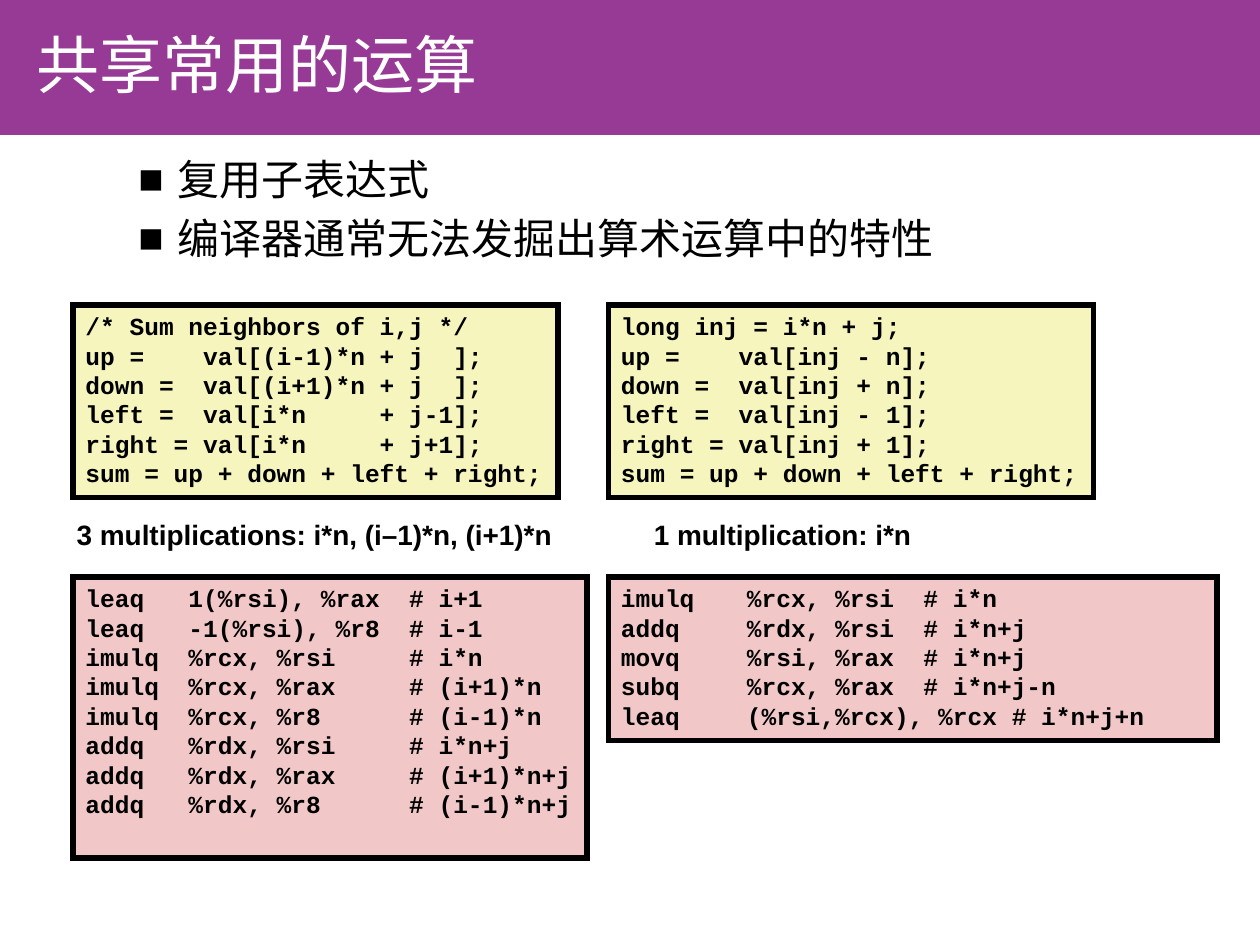
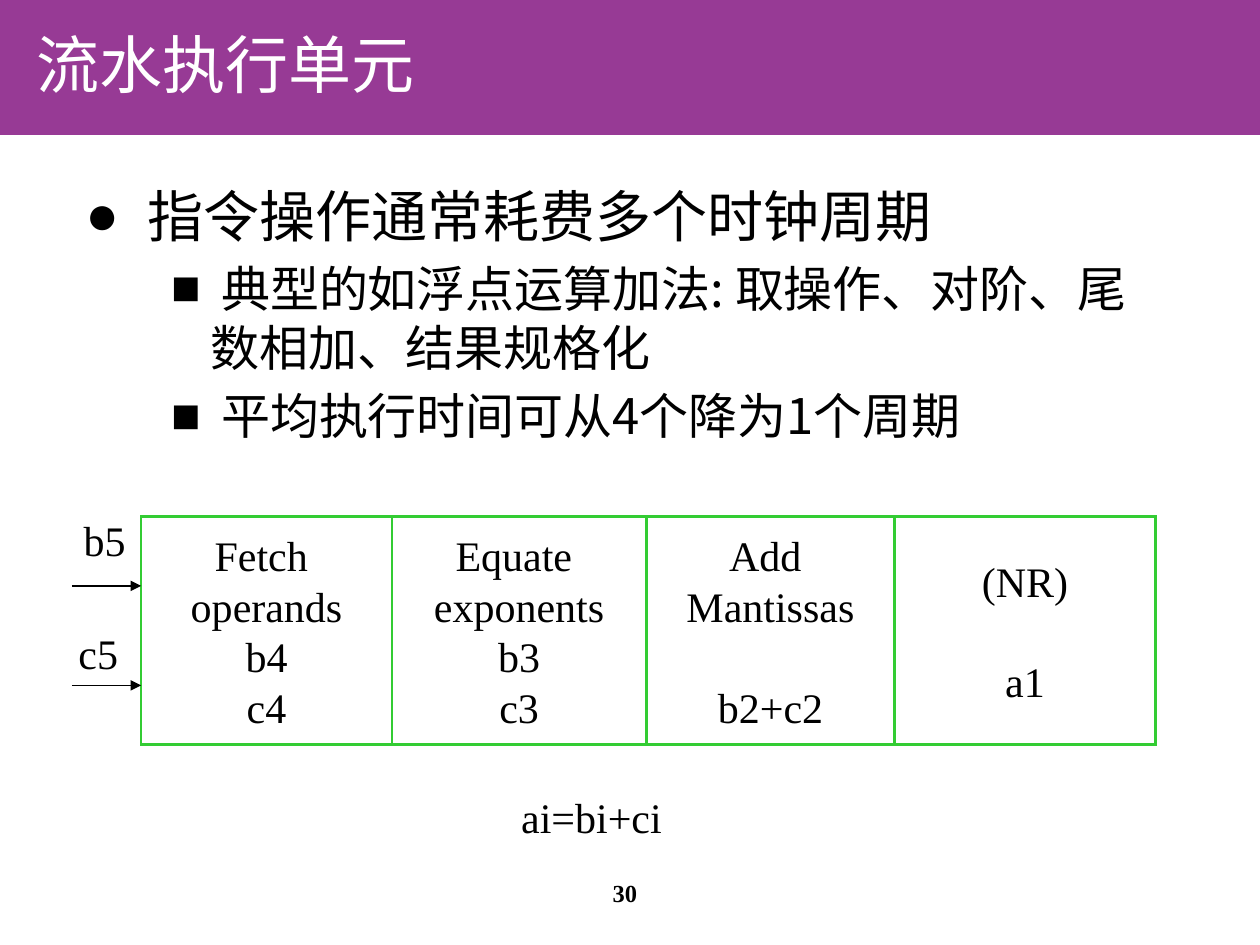
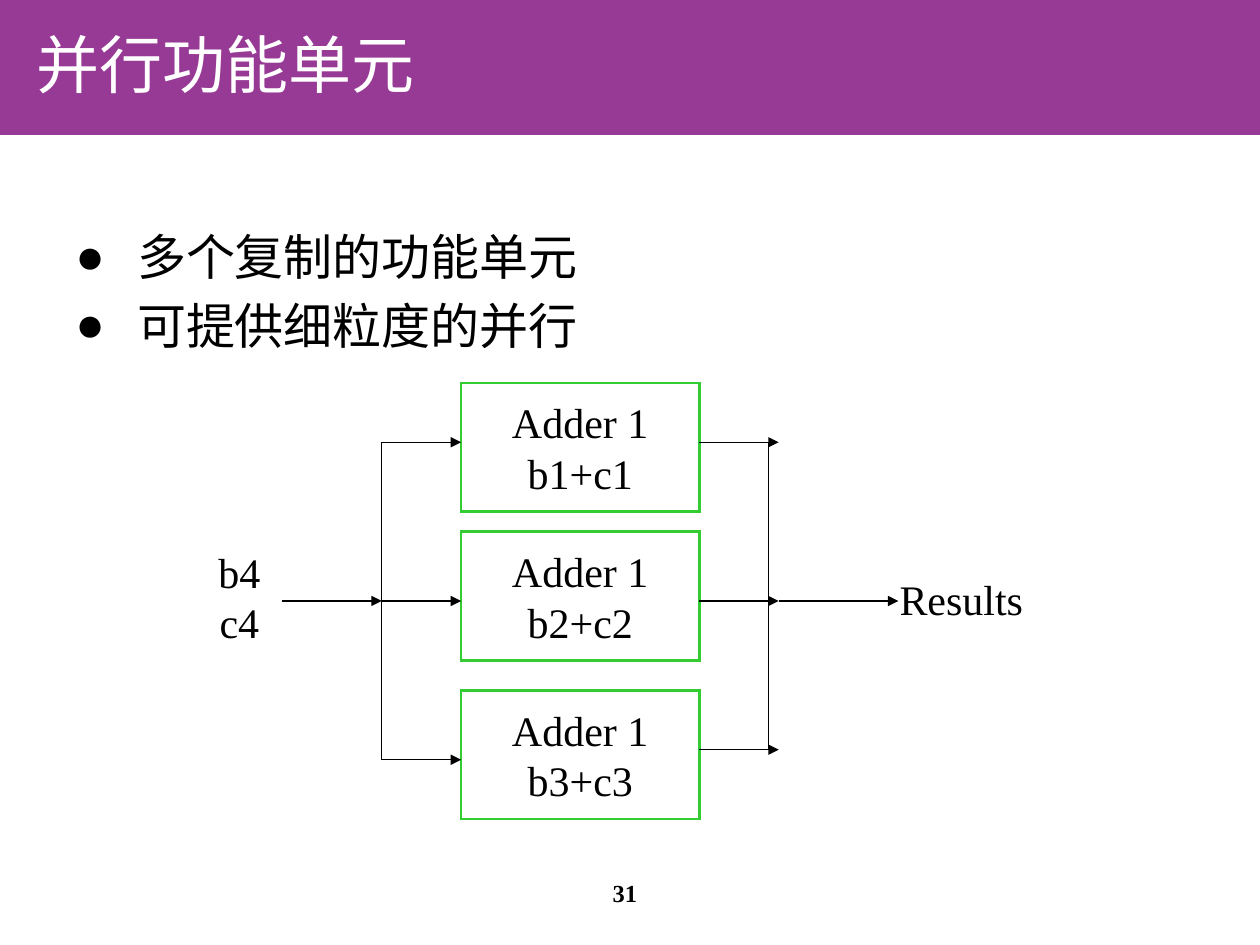
from dataclasses import dataclass
from itertools import accumulate
from typing import NamedTuple, Optional, Sequence

from lxml import etree
from pptx import Presentation
from pptx import util as u
from pptx.dml.color import RGBColor
from pptx.enum import shapes, text
from pptx.oxml import ns


# Theme: colours, faces and type sizes
@dataclass(frozen=True)
class Theme:
    band: str = "973A95"
    white: str = "FFFFFF"
    ink: str = "000000"
    source: str = "F6F5BD"
    assembly: str = "F1C7C7"
    frame: str = "33CC33"
    cjk: str = "Noto Sans CJK SC"
    code: str = "Courier New"
    sans: str = "Arial"
    serif: str = "Times New Roman"
    title_size: int = 36
    label_size: int = 24
    caption_size: int = 16
    small_size: int = 14
    blank_line: float = 28.8
    thin: float = 0.75
    medium: float = 1.5
    thick: float = 3


THEME = Theme()

# Grid: 100 columns by 75 rows of square cells
COLUMNS, ROWS = 100, 75
deck = Presentation()
deck.slide_width, deck.slide_height = u.Inches(10), u.Inches(7.5)


def across(columns: float) -> int:
    return round(deck.slide_width * columns / COLUMNS)


def down(rows: float) -> int:
    return round(deck.slide_height * rows / ROWS)


class Area(NamedTuple):
    column: float
    row: float
    columns: float
    rows: float

    def lengths(self) -> tuple:
        return across(self.column), down(self.row), across(self.columns), down(self.rows)


class Style(NamedTuple):
    face: str
    size: float
    color: str = THEME.ink
    bold: bool = False
    align: text.PP_ALIGN = text.PP_ALIGN.LEFT
    anchor: text.MSO_ANCHOR = text.MSO_ANCHOR.TOP
    wrap: bool = False


class Bullet(NamedTuple):
    words: str
    size: float
    level: int = 0


class Panel(NamedTuple):
    area: Area
    fill: str
    lines: Sequence[str]
    wrap: bool = False
    tab_stop: Optional[float] = None


class Stage(NamedTuple):
    columns: float
    lines: Sequence[str]
    gap_before_last: bool = False


class Link(NamedTuple):
    start: tuple
    end: tuple
    arrow: bool = True


TITLE = Style(THEME.cjk, THEME.title_size, THEME.white,
              anchor=text.MSO_ANCHOR.MIDDLE, wrap=True)
LABEL = Style(THEME.serif, THEME.label_size, align=text.PP_ALIGN.CENTER,
              anchor=text.MSO_ANCHOR.MIDDLE)
CODE = Style(THEME.code, THEME.small_size, bold=True)
CAPTION = Style(THEME.sans, THEME.caption_size, bold=True)
NUMBER = Style(THEME.serif, THEME.small_size, bold=True,
               align=text.PP_ALIGN.CENTER, wrap=True)

# Bullet sign, left margin and hanging indent in columns, by level
LEVELS = (("●", 4.9, -4.9), ("■", 9.9, -3.1))


# Text
def format_para(para, style: Style) -> None:
    para.alignment = style.align
    for span in para.runs:
        font = span.font
        font.size, font.bold = u.Pt(style.size), style.bold
        font.color.rgb = RGBColor.from_string(style.color)
        font.name = style.face
        etree.SubElement(font._element, ns.qn("a:ea"), typeface=style.face)


def write(box, lines: Sequence[str], style: Style) -> None:
    frame = box.text_frame
    frame.text = "\n".join(lines)
    frame.word_wrap = style.wrap
    frame.vertical_anchor = style.anchor
    for para in frame.paragraphs:
        format_para(para, style)


def add_text(page, area: Area, lines: Sequence[str], style: Style):
    box = page.shapes.add_textbox(*area.lengths())
    write(box, lines, style)
    return box


def add_bullets(page, area: Area, bullets: Sequence[Bullet]) -> None:
    style = Style(THEME.cjk, THEME.label_size, wrap=True)
    box = add_text(page, area, [bullet.words for bullet in bullets], style)
    for para, bullet in zip(box.text_frame.paragraphs, bullets):
        sign, margin, indent = LEVELS[bullet.level]
        para.level = bullet.level
        para.space_before = u.Pt(0.2 * bullet.size)
        for span in para.runs:
            span.font.size = u.Pt(bullet.size)
        properties = para._p.get_or_add_pPr()
        properties.set("marL", str(across(margin)))
        properties.set("indent", str(across(indent)))
        etree.SubElement(properties, ns.qn("a:buFont"), typeface=THEME.sans)
        etree.SubElement(properties, ns.qn("a:buChar"), char=sign)


def set_tab_stop(box, columns: float) -> None:
    for para in box.text_frame.paragraphs:
        stops = etree.SubElement(para._p.get_or_add_pPr(), ns.qn("a:tabLst"))
        etree.SubElement(stops, ns.qn("a:tab"), pos=str(across(columns)), algn="l")


# Shapes and lines
def add_box(page, area: Area, fill: Optional[str] = None,
            line: Optional[str] = None, weight: float = 0):
    box = page.shapes.add_shape(shapes.MSO_SHAPE.RECTANGLE, *area.lengths())
    box.shadow.inherit = False
    if fill:
        box.fill.solid()
        box.fill.fore_color.rgb = RGBColor.from_string(fill)
    else:
        box.fill.background()
    if line:
        box.line.color.rgb = RGBColor.from_string(line)
        box.line.width = u.Pt(weight)
        etree.SubElement(box.line._get_or_add_ln(), ns.qn("a:miter"), lim="800000")
    else:
        box.line.fill.background()
    return box


def add_panel(page, panel: Panel) -> None:
    box = add_box(page, panel.area, panel.fill, THEME.ink, THEME.thick)
    write(box, panel.lines, CODE._replace(wrap=panel.wrap))
    if panel.tab_stop is not None:
        set_tab_stop(box, panel.tab_stop)


def add_unit(page, area: Area, lines: Sequence[str]):
    box = add_box(page, area, line=THEME.frame, weight=THEME.medium)
    write(box, lines, LABEL)
    return box


def add_link(page, link: Link) -> None:
    line = page.shapes.add_connector(
        shapes.MSO_CONNECTOR.STRAIGHT,
        across(link.start[0]), down(link.start[1]),
        across(link.end[0]), down(link.end[1]))
    line.line.color.rgb = RGBColor.from_string(THEME.ink)
    line.line.width = u.Pt(THEME.thin)
    if link.arrow:
        etree.SubElement(line.line._get_or_add_ln(), ns.qn("a:tailEnd"), type="triangle")
    etree.SubElement(line._element.spPr, ns.qn("a:effectLst"))


# Shared page frame: band, title and optional page number
def add_page(title: str, number: Optional[int] = None):
    page = deck.slides.add_slide(deck.slide_layouts[6])
    add_box(page, Area(0, -0.1, COLUMNS, 10.8), THEME.band)
    add_text(page, Area(1.9, 1.3, 65.6, 7.5), [title], TITLE)
    if number is not None:
        add_text(page, Area(39.2, 69.2, 20.8, 5), [str(number)], NUMBER)
    return page


def build_sharing() -> None:
    page = add_page("共享常用的运算")
    add_bullets(page, Area(3.2, 11.7, 90.9, 58.8), [
        Bullet("复用子表达式", 24, 1),
        Bullet("编译器通常无法发掘出算术运算中的特性", 24, 1),
    ])
    left, right, source_row, assembly_row = 5.8, 48.3, 24.2, 45.8
    panels = [
        Panel(Area(left, source_row, 38.5, 15.3), THEME.source, [
            "/* Sum neighbors of i,j */",
            "up =    val[(i-1)*n + j  ];",
            "down =  val[(i+1)*n + j  ];",
            "left =  val[i*n     + j-1];",
            "right = val[i*n     + j+1];",
            "sum = up + down + left + right;",
        ]),
        Panel(Area(right, source_row, 38.5, 15.3), THEME.source, [
            "long inj = i*n + j;",
            "up =    val[inj - n];",
            "down =  val[inj + n];",
            "left =  val[inj - 1];",
            "right = val[inj + 1];",
            "sum = up + down + left + right;",
        ]),
        Panel(Area(left, assembly_row, 40.8, 22.3), THEME.assembly, [
            "leaq   1(%rsi), %rax  # i+1",
            "leaq   -1(%rsi), %r8  # i-1",
            "imulq  %rcx, %rsi     # i*n",
            "imulq  %rcx, %rax     # (i+1)*n",
            "imulq  %rcx, %r8      # (i-1)*n",
            "addq   %rdx, %rsi     # i*n+j",
            "addq   %rdx, %rax     # (i+1)*n+j",
            "addq   %rdx, %r8      # (i-1)*n+j",
        ], wrap=True),
        Panel(Area(right, assembly_row, 48.3, 13), THEME.assembly, [
            "imulq\t%rcx, %rsi  # i*n",
            "addq\t%rdx, %rsi  # i*n+j",
            "movq\t%rsi, %rax  # i*n+j",
            "subq\t%rcx, %rax  # i*n+j-n",
            "leaq\t(%rsi,%rcx), %rcx # i*n+j+n",
        ], wrap=True, tab_stop=10),
    ]
    for panel in panels:
        add_panel(page, panel)
    add_text(page, Area(5.1, 40.6, 39.9, 3.6),
             ["3 multiplications: i*n, (i–1)*n, (i+1)*n"], CAPTION)
    add_text(page, Area(50.9, 40.6, 22.5, 3.6), ["1 multiplication: i*n"], CAPTION)


def build_pipeline() -> None:
    page = add_page("流水执行单元", 30)
    add_bullets(page, Area(5.8, 13.9, 85.1, 24.3), [
        Bullet("指令操作通常耗费多个时钟周期", 32),
        Bullet(" 典型的如浮点运算加法: 取操作、对阶、尾数相加、结果规格化", 28, 1),
        Bullet(" 平均执行时间可从4个降为1个周期", 28, 1),
    ])

    # Stages stand side by side
    first = 11.2
    stages = [
        Stage(19.9, ["Fetch ", "operands", "b4", "c4"]),
        Stage(20.2, ["Equate ", "exponents", "b3", "c3"]),
        Stage(19.7, ["Add ", "Mantissas", "b2+c2"], True),
        Stage(20.7, ["(NR)", "a1"], True),
    ]
    lefts = accumulate((stage.columns for stage in stages), initial=first)
    for left, stage in zip(lefts, stages):
        box = add_unit(page, Area(left, 41, stage.columns, 18.1), stage.lines)
        if stage.gap_before_last:
            box.text_frame.paragraphs[-1].space_before = u.Pt(THEME.blank_line)

    # Operands entering the first stage
    for row in (46.5, 54.4):
        add_link(page, Link((5.7, row), (first, row)))
    add_text(page, Area(3.3, 39.9, 10, 5.8), ["b5"], LABEL)
    add_text(page, Area(2.8, 48.9, 10, 5.8), ["c5"], LABEL)
    add_text(page, Area(38.8, 61.9, 16.3, 5.8), ["ai=bi+ci"], LABEL)


def build_parallel() -> None:
    page = add_page("并行功能单元", 31)
    add_bullets(page, Area(5, 17.5, 90.7, 12.9), [
        Bullet("多个复制的功能单元", 28),
        Bullet("可提供细粒度的并行", 28),
    ])

    # Adders
    left, width = 36.6, 18.9
    right = left + width
    for index, row in enumerate((30.4, 42.2, 54.8), start=1):
        add_unit(page, Area(left, row, width, 10.2), ["Adder 1", f"b{index}+c{index}"])

    # Fan out to the adders, then collect the results
    fork, join, tip, middle, end = 30.3, 61, 61.8, 47.7, 71.3
    inputs, outputs = (35.1, middle, 60.3), (35.1, middle, 59.5)
    links = [
        *(Link((fork, row), (left, row)) for row in inputs),
        *(Link((right, row), (tip, row)) for row in outputs),
        Link((fork, inputs[0]), (fork, inputs[-1]), arrow=False),
        Link((join, outputs[0]), (join, outputs[-1]), arrow=False),
        Link((tip, middle), (end, middle)),
        Link((22.4, middle), (fork, middle)),
    ]
    for link in links:
        add_link(page, link)
    add_text(page, Area(14, 43, 10, 8.7), ["b4", "c4"], LABEL)

    # The output label fills its box from edge to edge
    results = add_text(page, Area(end, 44.6, 10, 5.8), ["Results"], LABEL)
    results.text_frame.margin_left = results.text_frame.margin_right = 0


build_sharing()
build_pipeline()
build_parallel()
deck.save("out.pptx")
